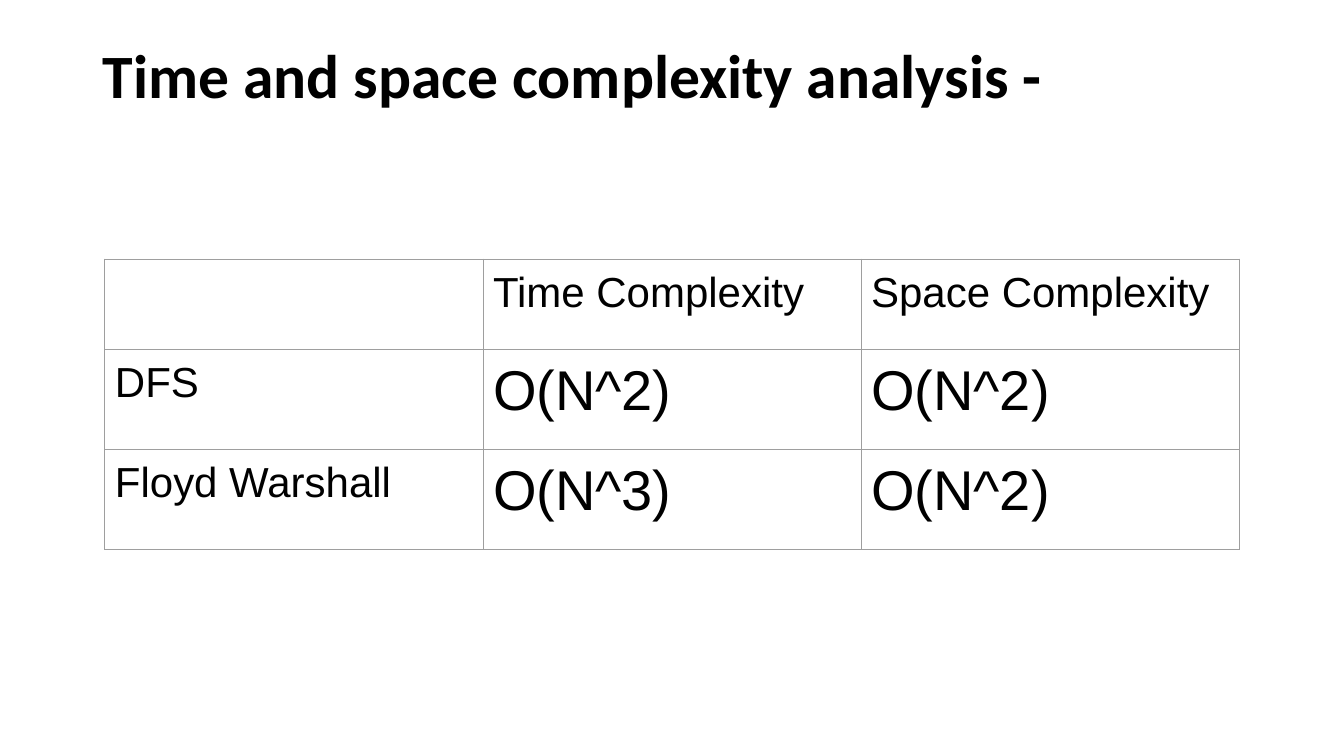
from dataclasses import dataclass

from lxml import etree
from pptx import Presentation
from pptx.dml.color import RGBColor
from pptx.enum.text import MSO_ANCHOR, PP_ALIGN
from pptx.oxml.ns import qn
from pptx.util import Inches, Pt

TOP = MSO_ANCHOR.TOP
LEFT = PP_ALIGN.LEFT
SIDES = ("a:lnL", "a:lnR", "a:lnT", "a:lnB")


@dataclass(frozen=True)
class Theme:
    ink: str = "000000"
    rule: str = "9E9E9E"
    head: str = "Calibri"
    body: str = "Arial"
    title: int = 44
    label: int = 30
    value: int = 40
    line: float = 0.75


def put(item, values):
    for name, value in values.items():
        setattr(item, name, value)


class Page:
    def __init__(self, deck, theme):
        self.theme = theme
        self.slide = deck.slides.add_slide(deck.slide_layouts[5])

    def style(self, para, size, face, bold=False):
        put(para.font, {"size": Pt(size), "name": face, "bold": bold})
        para.font.color.rgb = RGBColor.from_string(self.theme.ink)
        para.alignment = LEFT

    def title(self, text, left, top, width, height):
        shape = self.slide.shapes.title
        put(shape, {"left": Inches(left), "top": Inches(top),
                    "width": Inches(width), "height": Inches(height)})
        frame = shape.text_frame
        put(frame, {"text": text, "word_wrap": True, "vertical_anchor": TOP})
        para = frame.paragraphs[0]
        para.line_spacing = 0.9
        self.style(para, self.theme.title, self.theme.head, True)

    def border(self, cell):
        props = cell._tc.get_or_add_tcPr()
        for spot, side in enumerate(SIDES):
            line = etree.Element(qn(side), w=str(Pt(self.theme.line)))
            fill = etree.SubElement(line, qn("a:solidFill"))
            etree.SubElement(fill, qn("a:srgbClr"), val=self.theme.rule)
            props.insert(spot, line)

    def table(self, rows, left, top, width, heights):
        frame = self.slide.shapes.add_table(
            len(rows), len(rows[0]), Inches(left), Inches(top),
            Inches(width), Inches(sum(heights)))
        grid = frame.table
        put(grid, {"first_row": False, "horz_banding": False})
        for row, height in zip(grid.rows, heights):
            row.height = Inches(height)
        pad = Inches(0.1)
        for r, row in enumerate(rows):
            for c, text in enumerate(row):
                cell = grid.cell(r, c)
                put(cell, {"text": text, "vertical_anchor": TOP,
                           "margin_left": pad, "margin_right": pad,
                           "margin_top": pad, "margin_bottom": pad})
                cell.fill.background()
                self.border(cell)
                # Labels fill the first row and column
                size = self.theme.value if r and c else self.theme.label
                self.style(cell.text_frame.paragraphs[0], size, self.theme.body)


def main():
    deck = Presentation()
    put(deck, {"slide_width": Inches(13.33), "slide_height": Inches(7.5)})
    page = Page(deck, Theme())

    # Heading
    page.title("Time and space complexity analysis -", 0.92, 0.4, 11.5, 1.45)

    # Complexity of each method
    page.table([
        ["", "Time Complexity", "Space Complexity"],
        ["DFS", "O(N^2)", "O(N^2)"],
        ["Floyd Warshall", "O(N^3)", "O(N^2)"],
    ], 1.04, 2.57, 11.25, [0.9, 0.99, 0.99])

    deck.save("out.pptx")


if __name__ == "__main__":
    main()
